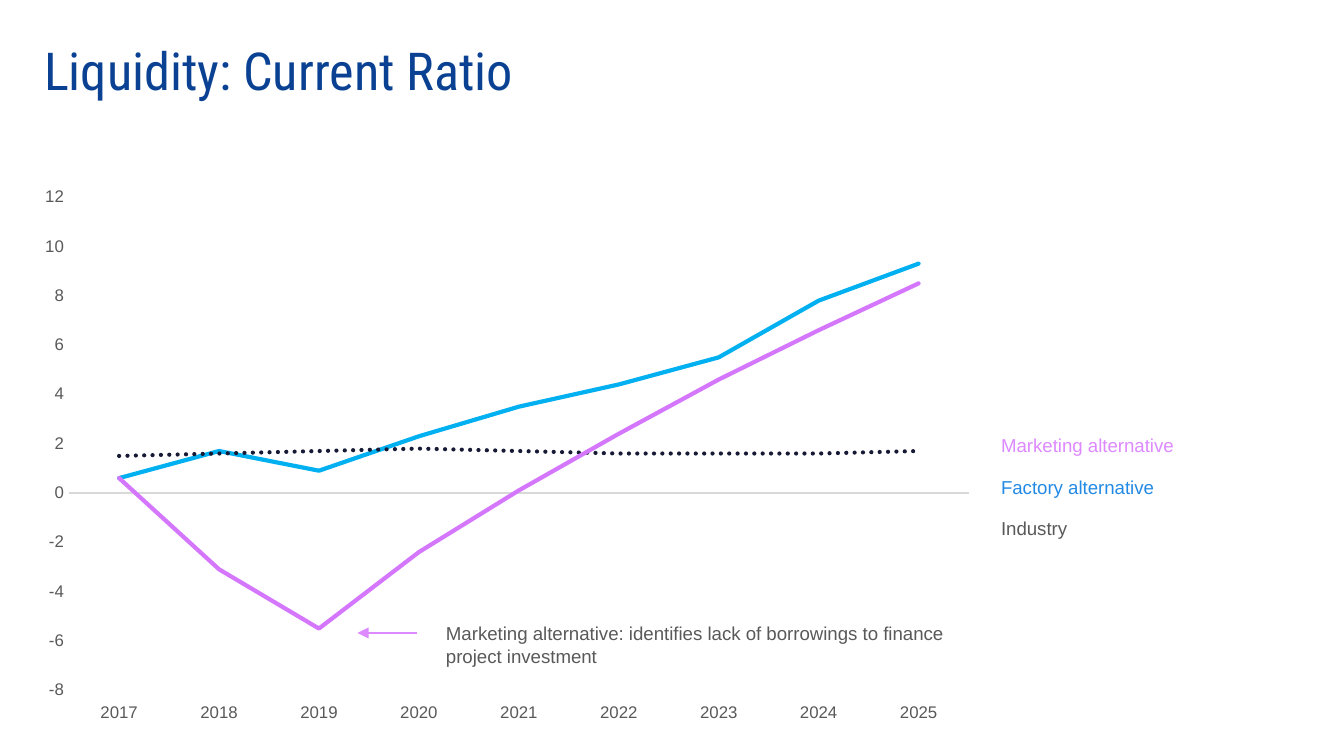
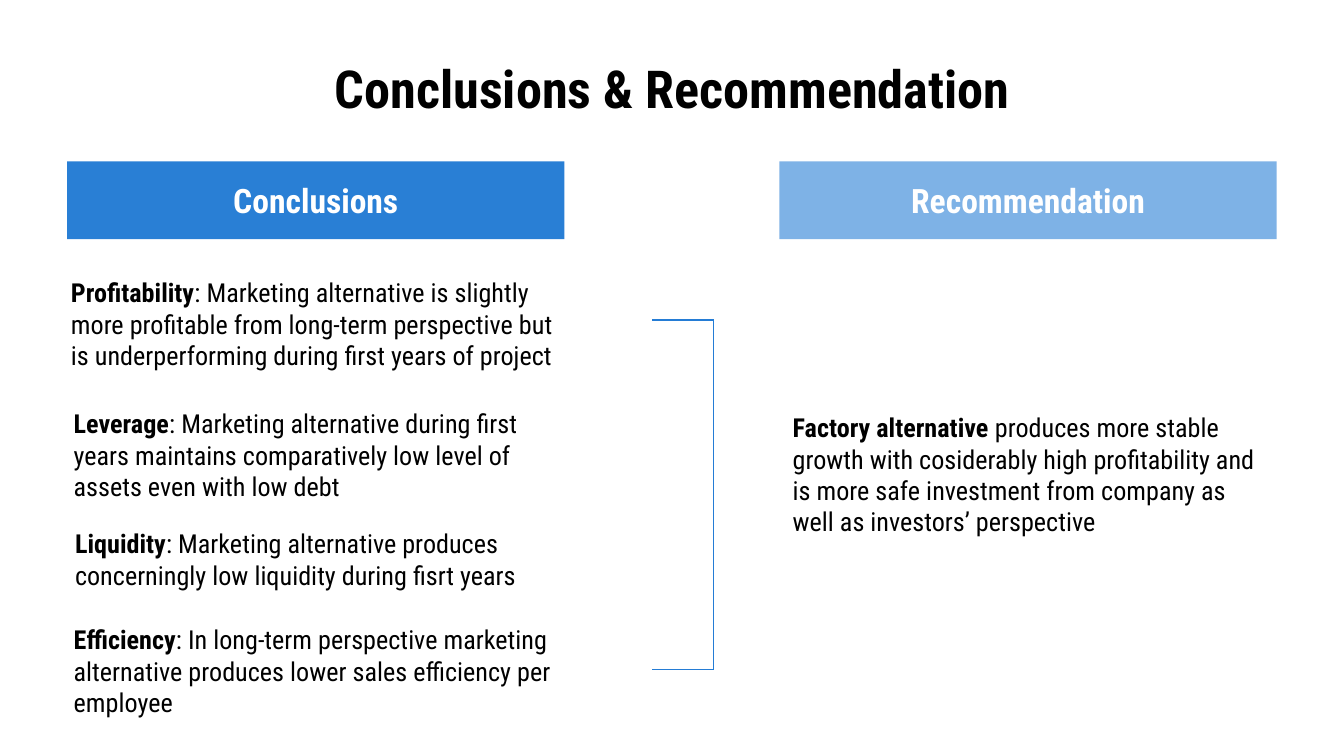
from lxml import etree
from pptx import Presentation
from pptx.chart.data import CategoryChartData
from pptx.dml.color import RGBColor
from pptx.enum.chart import XL_CHART_TYPE, XL_MARKER_STYLE, XL_TICK_LABEL_POSITION, XL_TICK_MARK
from pptx.enum.dml import MSO_LINE
from pptx.enum.shapes import MSO_CONNECTOR, MSO_SHAPE
from pptx.enum.text import MSO_ANCHOR, PP_ALIGN
from pptx.oxml.ns import qn
from pptx.util import Inches, Pt

LINE_CHART = XL_CHART_TYPE.LINE
NO_MARKER = XL_MARKER_STYLE.NONE
LOW = XL_TICK_LABEL_POSITION.LOW
NO_TICK = XL_TICK_MARK.NONE
DOTTED = MSO_LINE.ROUND_DOT
STRAIGHT = MSO_CONNECTOR.STRAIGHT
RECT = MSO_SHAPE.RECTANGLE
TOP, MIDDLE = MSO_ANCHOR.TOP, MSO_ANCHOR.MIDDLE
LEFT, CENTER = PP_ALIGN.LEFT, PP_ALIGN.CENTER

HEAD_FONT, BODY_FONT = "Roboto Condensed", "Arial"
BLACK, WHITE, GREY, RULE = "000000", "FFFFFF", "595959", "D9D9D9"
NAVY, BLUE, PALE_BLUE, BRACKET = "0A4193", "297FD5", "7EB2E6", "247CD5"
PINK, SKY = "DD89FF", "228AE5"


def rgb(hex_color):
    """Turn a hex string into a colour."""
    return RGBColor.from_string(hex_color)


def grid(*units):
    """Turn grid units, ten to the inch, into lengths."""
    return [Inches(u / 10) for u in units]


class Deck:
    """Hold the style and the current slide."""

    def __init__(self):
        """Start an empty deck of 100 columns by 56.25 rows."""
        self.prs = Presentation()
        self.prs.slide_width, self.prs.slide_height = grid(100, 56.25)
        self.s = None

    def slide(self):
        """Add a blank slide and make it current."""
        self.s = self.prs.slides.add_slide(self.prs.slide_layouts[6])

    def set_text(self, sp, runs, size, color, font, align, anchor, inset):
        """Fill a shape with one paragraph of (text, bold) runs."""
        tf = sp.text_frame
        tf.word_wrap = True
        tf.vertical_anchor = anchor
        tf.margin_left = tf.margin_right = Inches(0.1)
        tf.margin_top = tf.margin_bottom = Inches(inset)
        p = tf.paragraphs[0]
        p.alignment = align
        for text, bold in runs:
            r = p.add_run()
            r.text = text
            r.font.size, r.font.name, r.font.bold = Pt(size), font, bold
            r.font.color.rgb = rgb(color)

    def title(self, text, col, row, color, bold=False, align=LEFT):
        """Add a slide title."""
        sp = self.s.shapes.add_textbox(*grid(col, row, 90, 4.1))
        self.set_text(sp, [(text, bold)], 28, color, HEAD_FONT, align, MIDDLE, 0.1)

    def band(self, text, col, row, fill):
        """Add a filled column heading."""
        sp = self.s.shapes.add_shape(RECT, *grid(col, row, 37, 5.8))
        sp.shadow.inherit = False
        sp.fill.solid()
        sp.fill.fore_color.rgb = rgb(fill)
        sp.line.fill.background()
        self.set_text(sp, [(text, True)], 18, WHITE, HEAD_FONT, CENTER, MIDDLE, 0.1)

    def statement(self, lead, rest, *box):
        """Add a text that opens with bold words."""
        sp = self.s.shapes.add_textbox(*grid(*box))
        runs = [(lead, True), (rest, False)]
        self.set_text(sp, runs, 14, BLACK, HEAD_FONT, LEFT, MIDDLE, 0.1)

    def label(self, text, color, *box):
        """Add a small chart label."""
        sp = self.s.shapes.add_textbox(*grid(*box))
        self.set_text(sp, [(text, False)], 10, color, BODY_FONT, LEFT, TOP, 0.05)

    def line(self, color, *ends, arrow=False):
        """Draw a thin line, with an arrowhead at its end if asked."""
        sp = self.s.shapes.add_connector(STRAIGHT, *grid(*ends))
        sp.line.color.rgb = rgb(color)
        sp.line.width = Pt(0.75)
        sp_pr = sp.element.spPr
        if arrow:
            etree.SubElement(sp_pr.find(qn("a:ln")), qn("a:tailEnd"), type="triangle")
        etree.SubElement(sp_pr, qn("a:effectLst"))

    def line_chart(self, cats, series, limits, step, plot, *box):
        """Add a line chart from (name, colour, dash, values) rows."""
        data = CategoryChartData(number_format="0.0")
        data.categories = cats
        for name, _, _, values in series:
            data.add_series(name, values)
        chart = self.s.shapes.add_chart(LINE_CHART, *grid(*box), data).chart
        chart.has_legend = chart.has_title = False
        chart.font.size, chart.font.name = Pt(10), BODY_FONT
        for item, (_, color, dash, _) in zip(chart.plots[0].series, series):
            item.smooth = False
            item.marker.style = NO_MARKER
            item.format.line.color.rgb = rgb(color)
            item.format.line.width = Pt(2.25)
            if dash:
                item.format.line.dash_style = dash
        chart.plots[0].vary_by_categories = False
        for ln in chart.element.iter(qn("a:ln")):
            ln.set("cap", "rnd")
        cat_axis, val_axis = chart.category_axis, chart.value_axis
        for axis in (cat_axis, val_axis):
            axis.major_tick_mark = axis.minor_tick_mark = NO_TICK
            axis.has_major_gridlines = False
            font = axis.tick_labels.font
            font.size, font.name = Pt(9), BODY_FONT
            font.color.rgb = rgb(GREY)
        cat_axis.tick_label_position = LOW
        cat_axis.format.line.color.rgb = rgb(RULE)
        cat_axis.format.line.width = Pt(0.75)
        val_axis.format.line.fill.background()
        val_axis.minimum_scale, val_axis.maximum_scale = limits
        val_axis.major_unit = step
        val_axis.tick_labels.number_format = "#,##0"
        val_axis.tick_labels.number_format_is_linked = False
        self.place_plot(chart, plot)

    def place_plot(self, chart, plot):
        """Fix the inner plot area as shares of the chart."""
        area = next(chart.element.iter(qn("c:plotArea")))
        for old in area.findall(qn("c:layout")):
            area.remove(old)
        layout = etree.Element(qn("c:layout"))
        area.insert(0, layout)
        manual = etree.SubElement(layout, qn("c:manualLayout"))
        settings = [("layoutTarget", "inner"), ("xMode", "edge"), ("yMode", "edge")]
        for tag, val in settings + list(zip("xywh", plot)):
            etree.SubElement(manual, qn("c:" + tag), val=str(val))


def liquidity(deck):
    """Build the current ratio slide."""
    deck.slide()
    deck.title("Liquidity: Current Ratio", 2.3, 3.1, NAVY)
    series = [
        ("Series 1", "00B0F0", None, (0.6, 1.7, 0.9, 2.3, 3.5, 4.4, 5.5, 7.8, 9.3)),
        ("Series 2", "171A35", DOTTED, (1.5, 1.6, 1.7, 1.8, 1.7, 1.6, 1.6, 1.6, 1.7)),
        ("Series 3", "D477FD", None, (0.6, -3.1, -5.5, -2.4, 0.1, 2.4, 4.6, 6.6, 8.5)),
    ]
    years = [str(year) for year in range(2017, 2026)]
    deck.line_chart(years, series, (-8, 12), 2, (0.04, 0.04, 0.94, 0.88), 2.3, 13, 71.2, 41.7)
    legend = [
        ("Marketing alternative", PINK, 17.8),
        ("Factory alternative", SKY, 15.7),
        ("Industry", GREY, 7.5),
    ]
    for i, (text, color, width) in enumerate(legend):
        deck.label(text, color, 73.5, 31.8 + 3.1 * i, width, 2.7)
    deck.line(PINK, 31, 47.1, 26.6, 47.1, arrow=True)
    deck.label(
        "Marketing alternative: identifies lack of borrowings to finance project investment",
        GREY, 32.2, 45.8, 41.7, 4.4)


def conclusions(deck):
    """Build the conclusions slide."""
    deck.slide()
    deck.title("Conclusions & Recommendation", 5, 4.5, BLACK, True, CENTER)
    deck.band("Conclusions", 5, 12, BLUE)
    deck.band("Recommendation", 58, 12, PALE_BLUE)
    findings = [
        ("Profitability", ": Marketing alternative is slightly more profitable from long-term "
         "perspective but is underperforming during first years of project", 4.3, 22.1, 38.3, 4),
        ("Leverage", ": Marketing alternative during first years maintains comparatively "
         "low level of assets even with low debt", 4.5, 31.8, 38.3, 4.1),
        ("Liquidity", ": Marketing alternative produces concerningly low liquidity "
         "during fisrt years", 4.6, 40.1, 38.8, 3),
        ("Efficiency", ": In long-term perspective marketing alternative produces lower "
         "sales efficiency per employee", 4.5, 48.4, 38.8, 3),
    ]
    for finding in findings:
        deck.statement(*finding)
    deck.statement(
        "Factory alternative ", "produces more stable growth with cosiderably high profitability "
        "and is more safe investment from company as well as investors’ perspective",
        58, 33.8, 37, 3)
    top, bottom, spine = 23.8, 49.8, 53.1
    deck.line(BRACKET, spine, top, spine, bottom)
    for row in (top, bottom):
        deck.line(BRACKET, spine, row, 48.5, row)


def main():
    """Build and save the deck."""
    deck = Deck()
    liquidity(deck)
    conclusions(deck)
    deck.prs.save("out.pptx")


if __name__ == "__main__":
    main()
